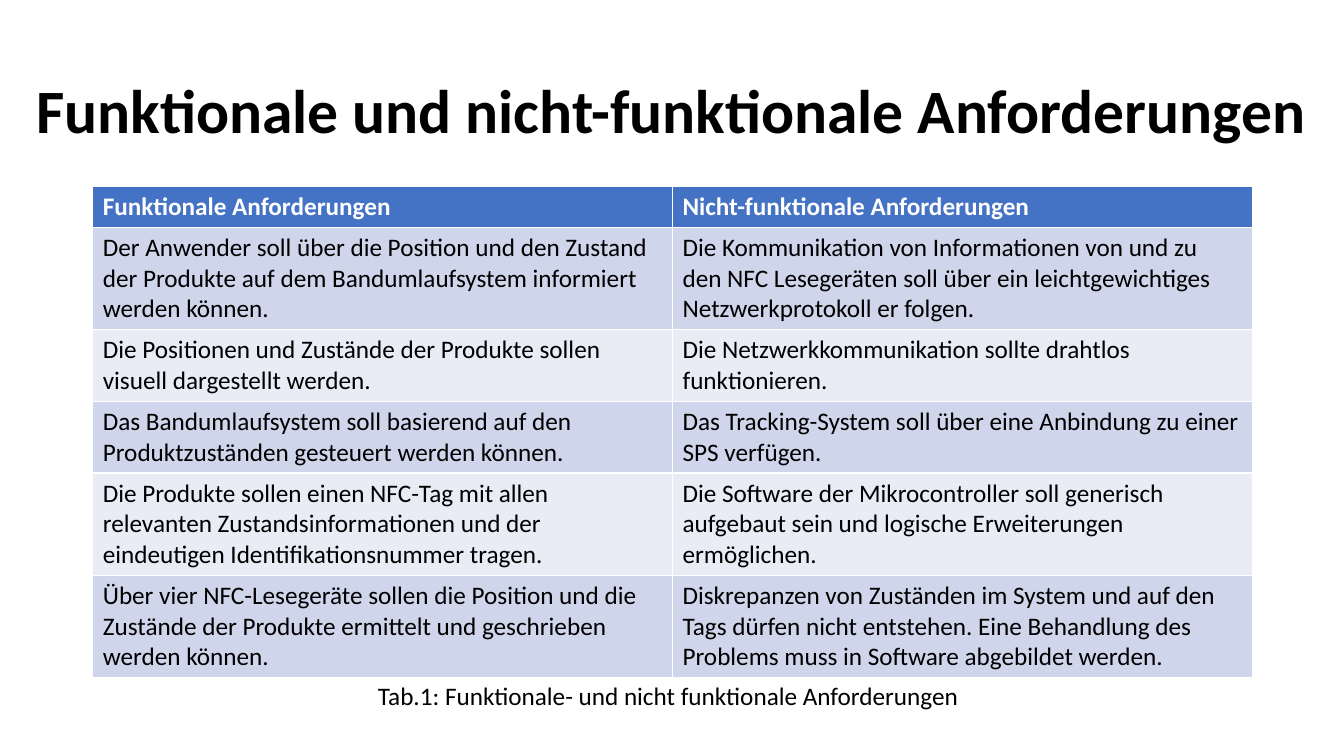
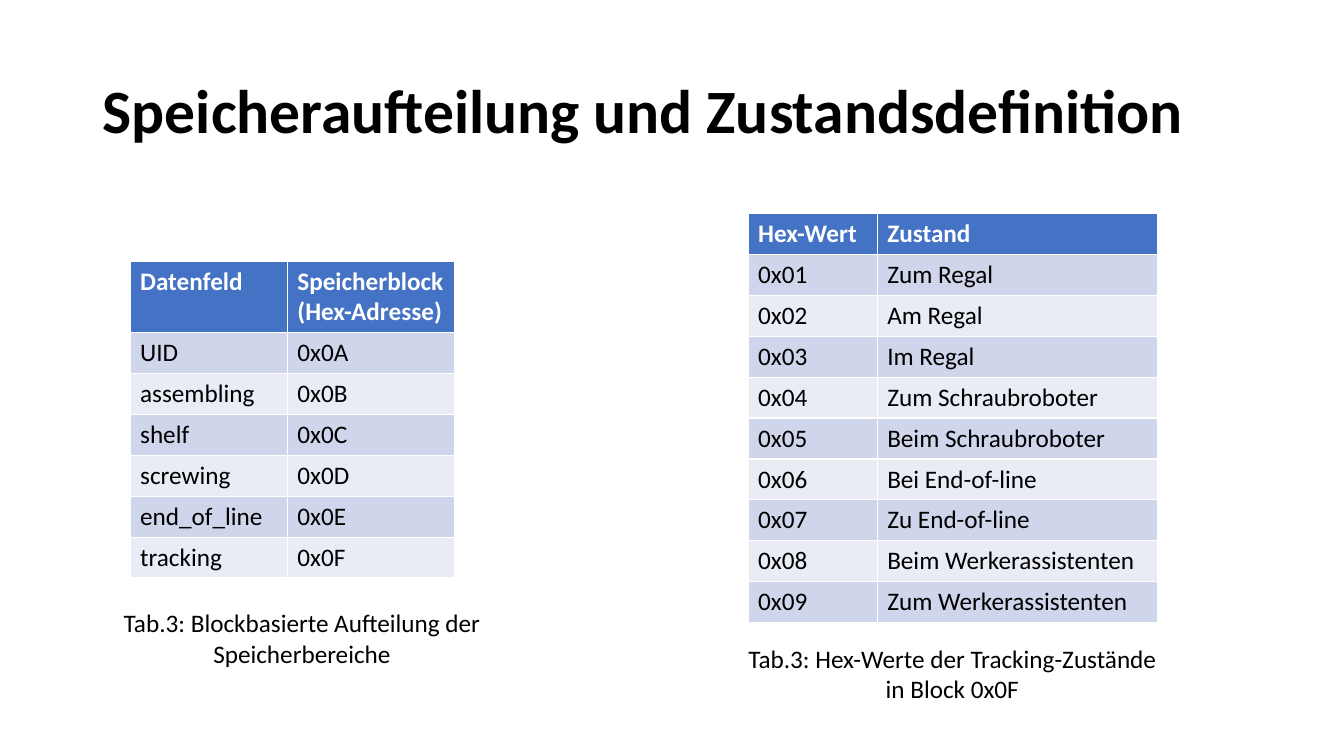
from dataclasses import dataclass

from pptx import Presentation
from pptx.dml.color import RGBColor
from pptx.enum.text import MSO_ANCHOR as Anchor, MSO_AUTO_SIZE as AutoSize, PP_ALIGN as Align
from pptx.util import Inches, Pt


@dataclass(frozen=True)
class Theme:
    """Colours, font and type sizes shared by all slides."""
    font: str = "Calibri"
    title_size: int = 44
    body_size: int = 18
    text: str = "000000"
    header_text: str = "FFFFFF"
    header_fill: str = "4472C4"
    band_fills: tuple = ("CFD5EA", "E9EBF5")
    row_height: float = 0.4


THEME = Theme()
TITLE_TOP, TITLE_HEIGHT = 0.4, 1.45

REQUIREMENTS = [
    ("Funktionale Anforderungen", "Nicht-funktionale Anforderungen"),
    ("Der Anwender soll über die Position und den Zustand der Produkte auf dem "
     "Bandumlaufsystem informiert werden können.",
     "Die Kommunikation von Informationen von und zu den NFC Lesegeräten soll über ein "
     "leichtgewichtiges Netzwerkprotokoll er folgen."),
    ("Die Positionen und Zustände der Produkte sollen visuell dargestellt werden.",
     "Die Netzwerkkommunikation sollte drahtlos funktionieren."),
    ("Das Bandumlaufsystem soll basierend auf den Produktzuständen gesteuert werden können.",
     "Das Tracking-System soll über eine Anbindung zu einer SPS verfügen."),
    ("Die Produkte sollen einen NFC-Tag mit allen relevanten Zustandsinformationen und der "
     "eindeutigen Identifikationsnummer tragen.",
     "Die Software der Mikrocontroller soll generisch aufgebaut sein und logische "
     "Erweiterungen ermöglichen."),
    ("Über vier NFC-Lesegeräte sollen die Position und die Zustände der Produkte ermittelt "
     "und geschrieben werden können.",
     "Diskrepanzen von Zuständen im System und auf den Tags dürfen nicht entstehen. Eine "
     "Behandlung des Problems muss in Software abgebildet werden."),
]
MEMORY_BLOCKS = [
    ("Datenfeld", "Speicherblock (Hex-Adresse)"),
    ("UID", "0x0A"),
    ("assembling", "0x0B"),
    ("shelf", "0x0C"),
    ("screwing", "0x0D"),
    ("end_of_line", "0x0E"),
    ("tracking", "0x0F"),
]
STATES = [
    ("Hex-Wert", "Zustand"),
    ("0x01", "Zum Regal"),
    ("0x02", "Am Regal"),
    ("0x03", "Im Regal"),
    ("0x04", "Zum Schraubroboter"),
    ("0x05", "Beim Schraubroboter"),
    ("0x06", "Bei End-of-line"),
    ("0x07", "Zu End-of-line"),
    ("0x08", "Beim Werkerassistenten"),
    ("0x09", "Zum Werkerassistenten"),
]


def style_font(paragraph, size, color, bold=False):
    """Set the shared font on a paragraph."""
    font = paragraph.font
    font.name, font.size, font.bold = THEME.font, Pt(size), bold
    font.color.rgb = RGBColor.from_string(color)


def add_titled_slide(presentation, text, left, width, alignment):
    """Add a title-only slide and format its title."""
    slide = presentation.slides.add_slide(presentation.slide_layouts[5])
    title = slide.shapes.title
    title.left, title.top = Inches(left), Inches(TITLE_TOP)
    title.width, title.height = Inches(width), Inches(TITLE_HEIGHT)
    frame = title.text_frame
    frame.text = text
    frame.word_wrap, frame.auto_size = True, AutoSize.NONE
    frame.vertical_anchor = Anchor.MIDDLE
    paragraph = frame.paragraphs[0]
    paragraph.alignment, paragraph.line_spacing = alignment, 0.9
    style_font(paragraph, THEME.title_size, THEME.text, bold=True)
    return slide


def add_banded_table(slide, rows, left, top, widths):
    """Add a table with a header row and alternating bands."""
    table = slide.shapes.add_table(
        len(rows), len(widths), Inches(left), Inches(top),
        Inches(sum(widths)), Inches(THEME.row_height * len(rows))).table
    for column, width in zip(table.columns, widths):
        column.width = Inches(width)
    for row_index, row in enumerate(rows):
        header = row_index == 0
        fill = THEME.header_fill if header else THEME.band_fills[(row_index - 1) % 2]
        color = THEME.header_text if header else THEME.text
        for column_index, text in enumerate(row):
            cell = table.cell(row_index, column_index)
            cell.text = text
            cell.fill.solid()
            cell.fill.fore_color.rgb = RGBColor.from_string(fill)
            style_font(cell.text_frame.paragraphs[0], THEME.body_size, color, bold=header)


def add_caption(slide, text, box, alignment=Align.CENTER, wrap=True):
    """Add a table caption in the given box."""
    frame = slide.shapes.add_textbox(*map(Inches, box)).text_frame
    frame.word_wrap = wrap
    frame.text = text
    paragraph = frame.paragraphs[0]
    paragraph.alignment = alignment
    style_font(paragraph, THEME.body_size, THEME.text)


def build_requirements_slide(presentation):
    """Build the slide comparing both kinds of requirements."""
    slide = add_titled_slide(
        presentation, "Funktionale und nicht-funktionale Anforderungen", 0, 13.33, Align.CENTER)
    add_banded_table(slide, REQUIREMENTS, 0.92, 1.85, (5.75, 5.75))
    add_caption(slide, "Tab.1: Funktionale- und nicht funktionale Anforderungen",
                (3.65, 6.7, 6.03, 0.4), Align.LEFT, wrap=False)


def build_memory_slide(presentation):
    """Build the slide with memory blocks and tracking states."""
    slide = add_titled_slide(
        presentation, "Speicheraufteilung und Zustandsdefinition", 0.92, 11.5, Align.LEFT)
    add_banded_table(slide, MEMORY_BLOCKS, 1.29, 2.59, (1.56, 1.66))
    add_banded_table(slide, STATES, 7.42, 2.12, (1.28, 2.78))
    add_caption(slide, "Tab.3: Blockbasierte Aufteilung der Speicherbereiche",
                (0.84, 5.98, 4.31, 0.71))
    add_caption(slide, "Tab.3: Hex-Werte der Tracking-Zustände in Block 0x0F",
                (7.29, 6.33, 4.31, 0.71))


def main():
    """Build and save the presentation."""
    presentation = Presentation()
    presentation.slide_width, presentation.slide_height = Inches(13.33), Inches(7.5)
    build_requirements_slide(presentation)
    build_memory_slide(presentation)
    presentation.save("out.pptx")


if __name__ == "__main__":
    main()
